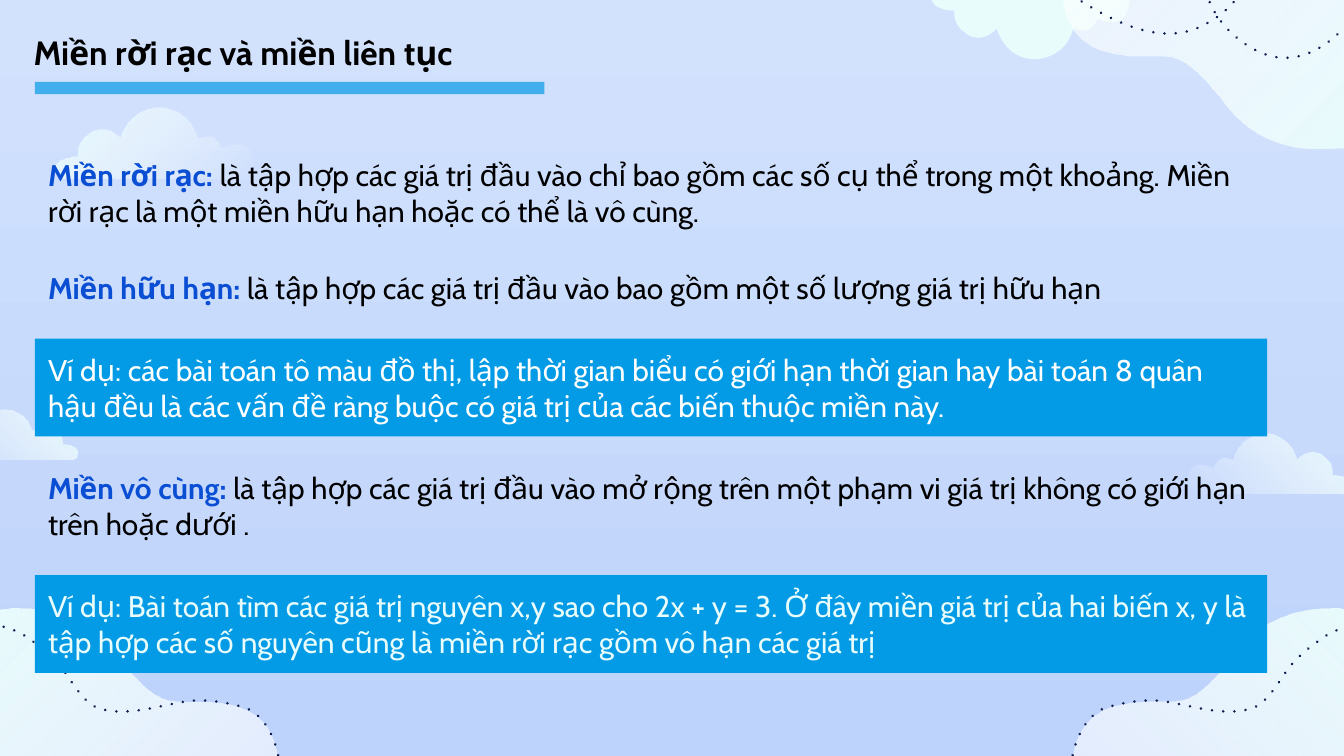
import math

import pptx
import pptx.dml.color
import pptx.enum.dml
import pptx.enum.shapes
import pptx.enum.text
import pptx.oxml
import pptx.oxml.ns
import pptx.util
from pptx.util import Cm

THEME = {
    "font": "Cabin", "title_size": 18, "body_size": 16,
    "text": "000000", "term": "0A4ED3", "panel": "039BE5",
    "white": "FFFFFF", "mist": "E9FCFC", "trail": "0F1E50",
    "sky_top": "D2E2FD", "sky_bottom": "BED3FC",
}

TITLE = "Miền rời rạc và miền liên tục"
TITLE_BOX = (0.38, 0.48, 10.21, 1.02)
TITLE_BAR = (0.66, 1.55, 9.63, 0.23)
ROW_LEFT, ROW_WIDTH = 0.66, 23.29

# term, text, top, height
DEFINITIONS = [
    ("Miền rời rạc:", "là tập hợp các giá trị đầu vào chỉ bao gồm các số cụ thể trong một khoảng. "
     "Miền rời rạc là một miền hữu hạn hoặc có thể là vô cùng.", 2.84, 1.63),
    ("Miền hữu hạn:", "là tập hợp các giá trị đầu vào bao gồm một số lượng giá trị hữu hạn", 4.98, 0.94),
    ("Miền vô cùng:", "là tập hợp các giá trị đầu vào mở rộng trên một phạm vi giá trị "
     "không có giới hạn trên hoặc dưới .", 8.76, 1.63),
]
# text, colour, top
EXAMPLES = [
    ("Ví dụ: các bài toán tô màu đồ thị, lập thời gian biểu có giới hạn thời gian hay bài toán 8 quân "
     "hậu đều là các vấn đề ràng buộc có giá trị của các biến thuộc miền này.", "white", 6.4),
    ("Ví dụ: Bài toán tìm các giá trị nguyên x,y sao cho 2x + y = 3. Ở đây miền giá trị của hai biến x, y là "
     "tập hợp các số nguyên cũng là miền rời rạc gồm vô hạn các giá trị", "mist", 10.87),
]
EXAMPLE_HEIGHT = 1.85

# Outlines in percent of their box: a start point, then lines (x, y) or cubic curves (x1, y1, x2, y2, x, y)
CLOUD = [
    (52, 0), (37, 0, 33, 43, 33, 43), (33, 43, 29, 30, 24, 30), (22, 30, 19, 32, 17, 38),
    (11, 49, 12, 68, 12, 68), (9, 68, 3, 70, 1, 81), (0, 91, 3, 100, 6, 100), (89, 100),
    (92, 100, 94, 98, 96, 94), (99, 89, 100, 81, 98, 70), (97, 55, 93, 51, 90, 51),
    (87, 51, 83, 57, 83, 57), (83, 57, 81, 40, 76, 40), (75, 40, 73, 42, 71, 43),
    (71, 43, 68, 2, 52, 0),
]
HILL = [
    (13, 0), (5, 0, 0, 3, 0, 3), (0, 100), (99, 100), (100, 79, 96, 60, 81, 56),
    (78, 55, 76, 55, 74, 55), (67, 55), (61, 55, 56, 52, 45, 27), (36, 5, 23, 0, 13, 0),
]
TRAIL = [
    (98.5, 100), (102, 83, 98, 53, 90, 48), (85, 45, 79, 43, 74, 45), (66, 48, 59, 53, 52, 49),
    (48, 47, 45, 36, 43, 30), (40, 20, 36, 14, 32, 8), (23, -4, 8, -1, 0, 14),
]
LOOP = [
    (100, 0), (103, 42, 87, 104, 72, 100), (63, 98, 52, 70, 50, 42), (49, 26, 51, 4, 56, -2),
    (59, -6, 64, 11, 63, 20), (62, 44, 55, 64, 47, 74), (32, 92, 14, 54, 0, 24),
]
# outline, box, (horizontal, vertical) direction, end opacity in percent, or "solid" / "dots"
SCENERY = [
    (CLOUD, (1.02, 2.03, 3.81, 1.35), (1, 1), 0),
    (CLOUD, (22.4, 8.2, 3.15, 1.12), (-1, 1), 0),
    (HILL, (20.22, 11.51, 5.66, 3.18), (-1, 1), 55),
    (CLOUD, (-1.19, 7.75, 2.67, 0.94), (-1, 1), 0),
    (TRAIL, (20.22, 11.76, 7.09, 3.35), (-1, 1), "dots"),
    (HILL, (-0.36, 11.51, 5.66, 3.18), (1, 1), 55),
    (TRAIL, (-1.78, 11.76, 7.09, 3.35), (1, 1), "dots"),
    (CLOUD, (17.58, -0.23, 3.81, 1.35), (1, -1), "solid"),
    (HILL, (20.04, -0.38, 5.66, 3.18), (-1, -1), 55),
    (LOOP, (19.63, -1.04, 6.35, 2.13), (1, 1), "dots"),
]


def rgb(name):
    return pptx.dml.color.RGBColor.from_string(THEME[name])


def solid(fill, name):
    fill.solid()
    fill.fore_color.rgb = rgb(name)


def set_opacity(parent, percent):
    """Make every plain colour below the XML element partly transparent."""
    for color in parent.iter(pptx.oxml.ns.qn("a:srgbClr")):
        alpha = pptx.oxml.parse_xml(f'<a:alpha {pptx.oxml.ns.nsdecls("a")} val="{percent * 1000}"/>')
        color.append(alpha)


def gradient(fill, names, angle):
    """Fill with a two-colour gradient; the angle runs counter-clockwise."""
    fill.gradient()
    fill.gradient_angle = angle
    for stop, name in zip(fill.gradient_stops, names):
        stop.color.rgb = rgb(name)


def place(segment, box, direction):
    """Turn the percent pairs of a segment into slide points, mirrored as the direction says."""
    left, top, width, height = box
    across, down = direction
    return [
        (Cm(left + width * (x if across > 0 else 100 - x) / 100),
         Cm(top + height * (y if down > 0 else 100 - y) / 100))
        for x, y in zip(segment[::2], segment[1::2])
    ]


def bend(piece, segments):
    """Replace the straight sides of a freeform by its cubic curves."""
    sides = list(piece.element.spPr.iter(pptx.oxml.ns.qn("a:lnTo")))
    for side, points in zip(sides, segments):
        if len(points) == 3:
            stops = "".join(f'<a:pt x="{x - piece.left}" y="{y - piece.top}"/>' for x, y in points)
            curve = f'<a:cubicBezTo {pptx.oxml.ns.nsdecls("a")}>{stops}</a:cubicBezTo>'
            side.getparent().replace(side, pptx.oxml.parse_xml(curve))


def add_scenery(slide, outline, box, direction, finish):
    (start,), *segments = [place(segment, box, direction) for segment in outline]
    builder = slide.shapes.build_freeform(*start)
    builder.add_line_segments([points[-1] for points in segments], close=finish != "dots")
    piece = builder.convert_to_shape()
    bend(piece, segments)
    piece.shadow.inherit = False
    if finish == "dots":
        piece.fill.background()
        solid(piece.line.fill, "trail")
        piece.line.width = pptx.util.Pt(1.5)
        piece.line.dash_style = pptx.enum.dml.MSO_LINE.ROUND_DOT
        outline_xml = piece.element.spPr.find(pptx.oxml.ns.qn("a:ln"))
        outline_xml.set("cap", "rnd")
        outline_xml.find(pptx.oxml.ns.qn("a:prstDash")).set("val", "dot")
        return
    piece.line.fill.background()
    if finish == "solid":
        solid(piece.fill, "mist")
    else:
        across, down = direction
        gradient(piece.fill, ("mist", "white"), math.degrees(math.atan2(-down, across)) % 360)
        last_stop = list(piece.element.spPr.iter(pptx.oxml.ns.qn("a:gs")))[-1]
        set_opacity(last_stop, finish)


def add_panel(slide, box):
    panel = slide.shapes.add_shape(pptx.enum.shapes.MSO_SHAPE.RECTANGLE, *map(Cm, box))
    panel.shadow.inherit = False
    solid(panel.fill, "panel")
    panel.line.fill.background()
    return panel


def style(paragraph, size, color=None):
    paragraph.alignment = pptx.enum.text.PP_ALIGN.LEFT
    paragraph.font.name = THEME["font"]
    paragraph.font.size = pptx.util.Pt(THEME[size])
    if color:
        paragraph.font.color.rgb = rgb(color)


def add_title(slide):
    title = slide.shapes.title
    title.left, title.top, title.width, title.height = map(Cm, TITLE_BOX)
    title.text_frame.text = TITLE
    title.text_frame.auto_size = pptx.enum.text.MSO_AUTO_SIZE.NONE
    title.text_frame.vertical_anchor = pptx.enum.text.MSO_ANCHOR.TOP
    heading = title.text_frame.paragraphs[0]
    style(heading, "title_size", "text")
    heading.font.bold = True
    set_opacity(add_panel(slide, TITLE_BAR).element.spPr, 70)


def add_definition(slide, term, text, top, height):
    definition = slide.shapes.add_textbox(*map(Cm, (ROW_LEFT, top, ROW_WIDTH, height)))
    definition.text_frame.word_wrap = True
    paragraph = definition.text_frame.paragraphs[0]
    style(paragraph, "body_size")
    for words, color, bold in ((term, "term", True), (" " + text, "text", False)):
        run = paragraph.add_run()
        run.text = words
        run.font.bold = bold
        run.font.color.rgb = rgb(color)


def add_example(slide, text, color, top):
    example = add_panel(slide, (ROW_LEFT, top, ROW_WIDTH, EXAMPLE_HEIGHT))
    example.text_frame.text = text
    example.text_frame.vertical_anchor = pptx.enum.text.MSO_ANCHOR.MIDDLE
    style(example.text_frame.paragraphs[0], "body_size", color)


def main():
    deck = pptx.Presentation()
    deck.slide_width, deck.slide_height = Cm(25.4), Cm(14.29)
    slide = deck.slides.add_slide(deck.slide_layouts.get_by_name("Title Only"))
    gradient(slide.background.fill, ("sky_top", "sky_bottom"), 270)
    for piece in SCENERY:
        add_scenery(slide, *piece)
    add_title(slide)
    for definition in DEFINITIONS:
        add_definition(slide, *definition)
    for example in EXAMPLES:
        add_example(slide, *example)
    deck.save("out.pptx")


if __name__ == "__main__":
    main()
